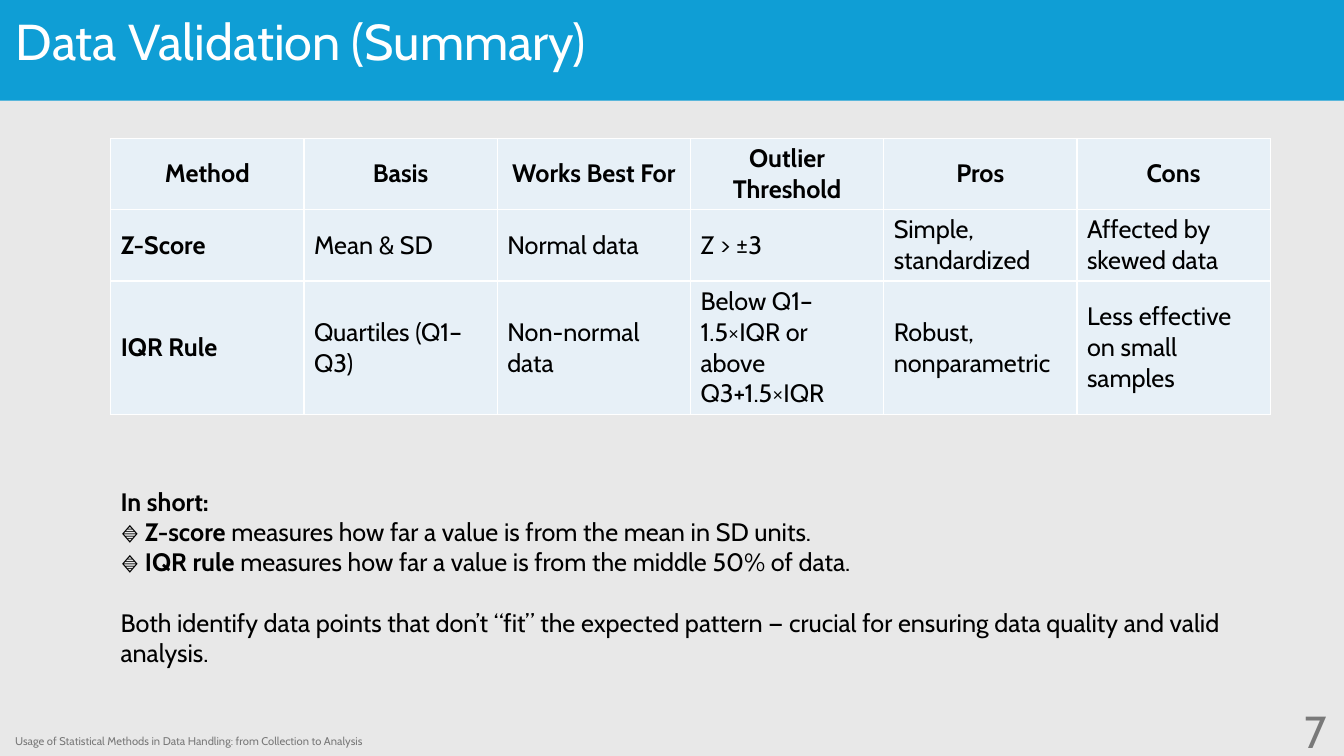
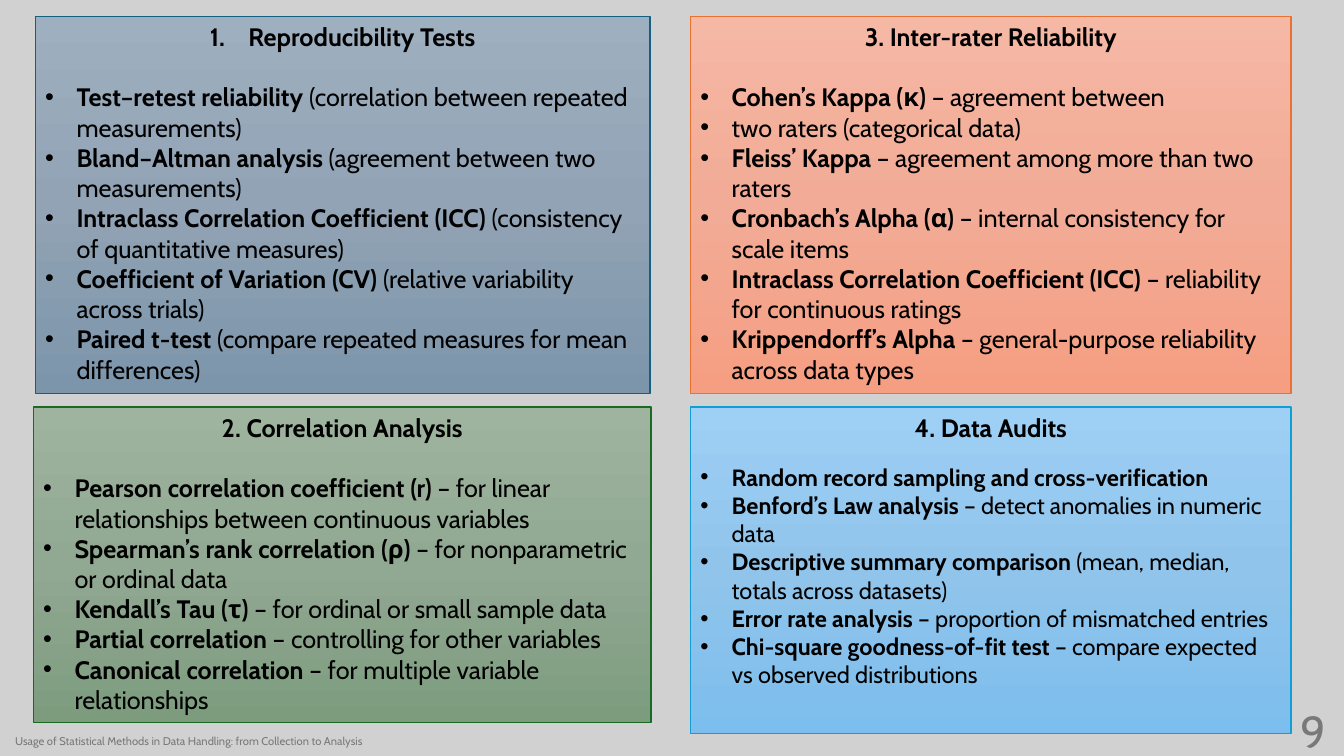
"""Build two slides on data validation methods and reliability tests."""
from copy import deepcopy
from dataclasses import dataclass

from lxml import etree
from pptx import Presentation
from pptx.dml.color import RGBColor
from pptx.enum.shapes import MSO_SHAPE
from pptx.enum.text import MSO_ANCHOR, PP_ALIGN
from pptx.oxml.ns import qn
from pptx.util import Cm, Pt

RECTANGLE = MSO_SHAPE.RECTANGLE
TOP, MIDDLE = MSO_ANCHOR.TOP, MSO_ANCHOR.MIDDLE
LEFT, CENTER, RIGHT = PP_ALIGN.LEFT, PP_ALIGN.CENTER, PP_ALIGN.RIGHT


@dataclass(frozen=True)
class Theme:
    font: str = "Cabin"
    ink: str = "000000"
    white: str = "FFFFFF"
    muted: str = "797979"
    band: str = "0F9ED5"
    cell: str = "E7F0F7"
    light_page: str = "E8E8E8"
    dark_page: str = "D1D1D1"
    title: float = 36
    number: float = 32
    body: float = 18
    compact: float = 16.8
    footer: float = 8
    line_height: float = 1.2


THEME = Theme()
WIDTH, HEIGHT = Cm(33.87), Cm(19.05)
FOOTER = "Usage of Statistical Methods in Data Handling: from Collection to Analysis"

TITLE = "Data Validation (Summary)"
METHODS = [
    ("Method", "Basis", "Works Best For", "Outlier Threshold", "Pros", "Cons"),
    ("Z-Score", "Mean & SD", "Normal data", "Z > ±3",
     "Simple, standardized", "Affected by skewed data"),
    ("IQR Rule", "Quartiles (Q1–Q3)", "Non-normal data",
     "Below Q1–1.5×IQR or above Q3+1.5×IQR",
     "Robust, nonparametric", "Less effective on small samples"),
]
ROW_HEIGHTS = (1.8, 1.8, 3.36)
COLUMN_WIDTH = 4.87
SUMMARY = [
    [("In short:", True)],
    [("🔹 ", False), ("Z-score", True),
     (" measures how far a value is from the mean in SD units.", False)],
    [("🔹 ", False), ("IQR rule", True),
     (" measures how far a value is from the middle 50% of data.", False)],
    [("Both identify data points that don’t “fit” the expected pattern — crucial "
      "for ensuring data quality and valid analysis.", False)],
]

PANELS = [
    {
        "heading": "Reproducibility Tests", "numbered": True,
        "area": (0.89, 0.41, 15.49, 9.5),
        "line": "156082", "shades": ("9EAFBF", "91A3B4", "7C95AB"),
        "size": THEME.body, "gap": THEME.body,
        "items": [
            ("Test–retest reliability", " (correlation between repeated measurements)"),
            ("Bland–Altman analysis", " (agreement between two measurements)"),
            ("Intraclass Correlation Coefficient (ICC)",
             " (consistency of quantitative measures)"),
            ("Coefficient of Variation (CV)", " (relative variability across trials)"),
            ("Paired t-test", " (compare repeated measures for mean differences)"),
        ],
    },
    {
        "heading": "2. Correlation Analysis", "numbered": False,
        "area": (0.84, 10.26, 15.57, 7.95),
        "line": "196B24", "shades": ("9EB49F", "91A892", "7D9C7E"),
        "size": THEME.body, "gap": THEME.body,
        "items": [
            ("Pearson correlation coefficient (r)",
             " – for linear relationships between continuous variables"),
            ("Spearman’s rank correlation (ρ)", " – for nonparametric or ordinal data"),
            ("Kendall’s Tau (τ)", " – for ordinal or small sample data"),
            ("Partial correlation", " – controlling for other variables"),
            ("Canonical correlation", " – for multiple variable relationships"),
        ],
    },
    {
        "heading": "3. Inter-rater Reliability", "numbered": False,
        "area": (17.4, 0.41, 15.14, 9.5),
        "line": "E97132", "shades": ("F5B8A5", "F2AB96", "F59E82"),
        "size": THEME.body, "gap": THEME.body,
        "items": [
            ("Cohen’s Kappa (κ)", " – agreement between"),
            ("", "two raters (categorical data)"),
            ("Fleiss’ Kappa", " – agreement among more than two raters"),
            ("Cronbach’s Alpha (α)", " – internal consistency for scale items"),
            ("Intraclass Correlation Coefficient (ICC)",
             " – reliability for continuous ratings"),
            ("Krippendorff’s Alpha", " – general-purpose reliability across data types"),
        ],
    },
    {
        "heading": "4. Data Audits", "numbered": False,
        "area": (17.4, 10.26, 15.14, 8.23),
        "line": "0F9ED5", "shades": ("9ECFF5", "90C4EB", "7CBEED"),
        "size": THEME.compact, "gap": 12,
        "items": [
            ("Random record sampling and cross-verification", ""),
            ("Benford’s Law analysis", " – detect anomalies in numeric data"),
            ("Descriptive summary comparison", " (mean, median, totals across datasets)"),
            ("Error rate analysis", " – proportion of mismatched entries"),
            ("Chi-square goodness-of-fit test",
             " – compare expected vs observed distributions"),
        ],
    },
]


def color(value):
    return RGBColor.from_string(value)


def write(para, spans, size=THEME.body, ink=THEME.ink, align=LEFT):
    para.alignment = align
    for text, bold in spans:
        if not text:
            continue
        span = para.add_run()
        span.text = text
        span.font.name = THEME.font
        span.font.size = Pt(size)
        span.font.bold = bold
        span.font.color.rgb = color(ink)


def next_para(frame):
    first = frame.paragraphs[0]
    return frame.add_paragraph() if first.runs else first


def add_bullet(para, indent, tag, **attributes):
    properties = para._p.get_or_add_pPr()
    properties.set("marL", str(Cm(indent)))
    properties.set("indent", str(-Cm(indent)))
    if tag == "a:buChar":
        etree.SubElement(properties, qn("a:buFont"), typeface="Arial")
    etree.SubElement(properties, qn(tag), **attributes)


def add_text(slide, area, anchor=TOP):
    box = slide.shapes.add_textbox(*map(Cm, area))
    frame = box.text_frame
    frame.word_wrap = True
    frame.vertical_anchor = anchor
    return frame


def add_rectangle(slide, area):
    box = slide.shapes.add_shape(RECTANGLE, *area)
    box.shadow.inherit = False
    return box


def add_page(deck, background, number):
    slide = deck.slides.add_slide(deck.slide_layouts[6])
    slide.background.fill.solid()
    slide.background.fill.fore_color.rgb = color(background)
    footer = add_text(slide, (0.13, 18.36, 20.32, 0.64), MIDDLE)
    write(footer.paragraphs[0], [(FOOTER, False)], THEME.footer, THEME.muted)
    page = add_text(slide, (26.06, 17.91, 7.62, 1.02), MIDDLE)
    write(page.paragraphs[0], [(number, False)], THEME.number, THEME.muted, RIGHT)
    return slide


def add_title(slide, title):
    band = add_rectangle(slide, (0, 0, WIDTH, Cm(2.54)))
    band.fill.solid()
    band.fill.fore_color.rgb = color(THEME.band)
    band.line.fill.background()
    para = add_text(slide, (0.15, 0.3, 16.79, 1.93)).paragraphs[0]
    para.line_spacing = 0.9
    write(para, [(title, False)], THEME.title, THEME.white)


def style_cell(cell):
    properties = cell._tc.get_or_add_tcPr()
    for side in ("a:lnL", "a:lnR", "a:lnT", "a:lnB"):
        border = etree.SubElement(properties, qn(side), w=str(Pt(1)))
        fill = etree.SubElement(border, qn("a:solidFill"))
        etree.SubElement(fill, qn("a:srgbClr"), val=THEME.white)
    cell.fill.solid()
    cell.fill.fore_color.rgb = color(THEME.cell)
    cell.vertical_anchor = MIDDLE


def add_methods(slide):
    columns = len(METHODS[0])
    area = (2.79, 3.48, COLUMN_WIDTH * columns, sum(ROW_HEIGHTS))
    table = slide.shapes.add_table(len(METHODS), columns, *map(Cm, area)).table
    for column in table.columns:
        column.width = Cm(COLUMN_WIDTH)
    for row, (height, texts) in enumerate(zip(ROW_HEIGHTS, METHODS)):
        table.rows[row].height = Cm(height)
        for column, text in enumerate(texts):
            cell = table.cell(row, column)
            style_cell(cell)
            write(cell.text_frame.paragraphs[0], [(text, row == 0 or column == 0)],
                  align=LEFT if row else CENTER)


def add_summary(slide):
    frame = add_text(slide, (2.79, 12.12, 29.21, 4.88))
    for spans in SUMMARY:
        para = next_para(frame)
        write(para, spans)
    para.space_before = Pt(THEME.body * THEME.line_height)


def shade(box, shades):
    box.fill.gradient()
    box.fill.gradient_angle = 270
    stops = box._element.spPr.find(".//" + qn("a:gsLst"))
    stops.insert(1, deepcopy(stops[0]))
    for index, (stop, value) in enumerate(zip(box.fill.gradient_stops, shades)):
        stop.position = index / 2
        stop.color.rgb = color(value)


def add_panel(slide, panel):
    box = add_rectangle(slide, map(Cm, panel["area"]))
    shade(box, panel["shades"])
    box.line.color.rgb = color(panel["line"])
    box.line.width = Pt(1)
    frame = box.text_frame
    frame.word_wrap = True
    frame.vertical_anchor = TOP
    heading = next_para(frame)
    write(heading, [(panel["heading"], True)], align=CENTER)
    heading.space_after = Pt(panel["gap"] * THEME.line_height)
    if panel["numbered"]:
        add_bullet(heading, 0.97, "a:buAutoNum", type="arabicPeriod")
    for term, detail in panel["items"]:
        para = next_para(frame)
        write(para, [(term, True), (detail, False)], panel["size"])
        add_bullet(para, 0.79, "a:buChar", char="•")


def main():
    deck = Presentation()
    deck.slide_width, deck.slide_height = WIDTH, HEIGHT
    summary = add_page(deck, THEME.light_page, "7")
    add_title(summary, TITLE)
    add_methods(summary)
    add_summary(summary)
    tests = add_page(deck, THEME.dark_page, "9")
    for panel in PANELS:
        add_panel(tests, panel)
    deck.save("out.pptx")


if __name__ == "__main__":
    main()
